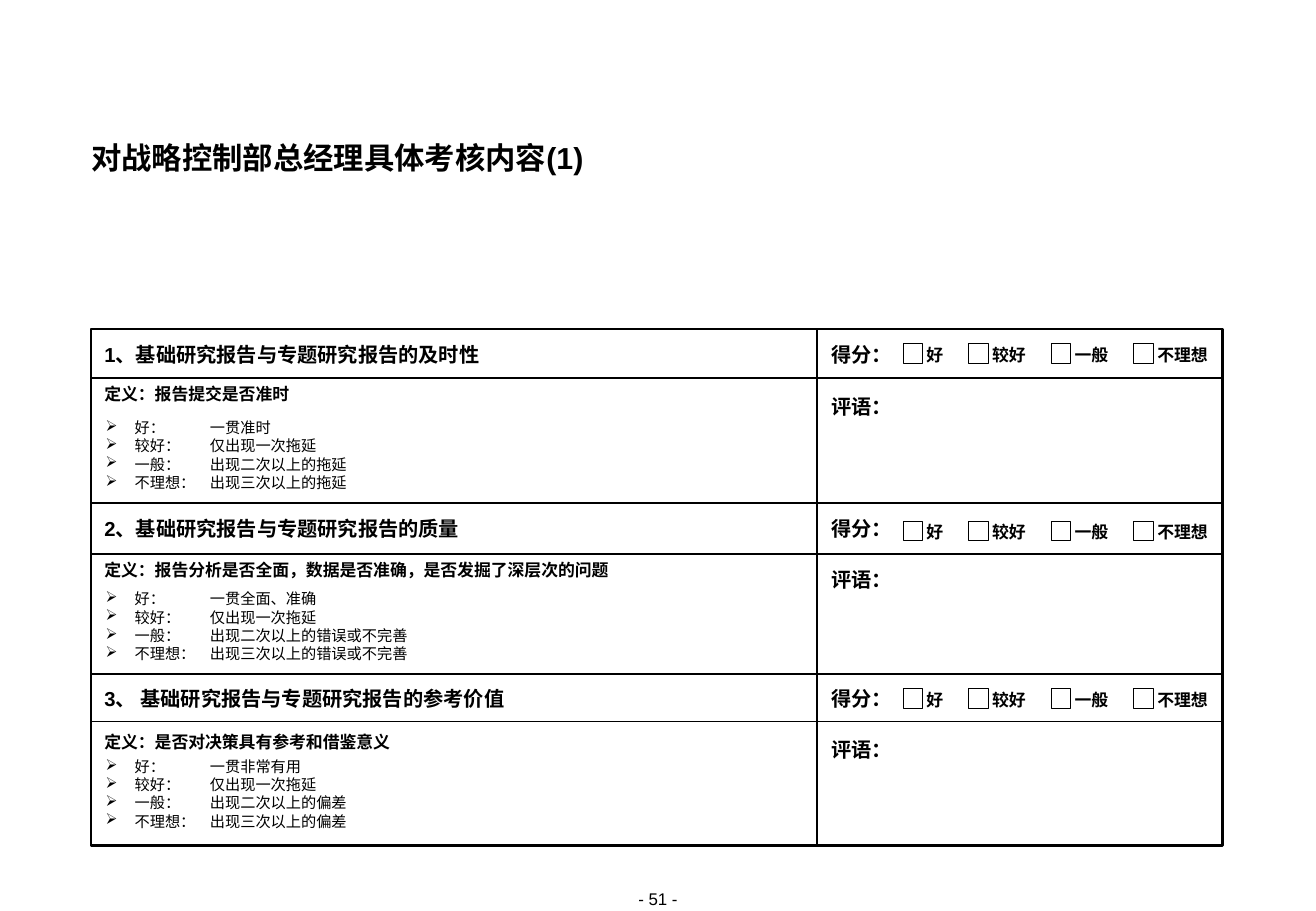
from lxml.etree import SubElement
from pptx import Presentation
from pptx.dml.color import RGBColor
from pptx.enum.shapes import MSO_CONNECTOR, MSO_SHAPE
from pptx.enum.text import MSO_ANCHOR, MSO_AUTO_SIZE, PP_ALIGN
from pptx.oxml.ns import qn
from pptx.util import Inches, Pt

BLACK = RGBColor(0, 0, 0)
WHITE = RGBColor(255, 255, 255)
FONT = "Arial"
LEFT, TOP, RIGHT, BOTTOM = 0.75, 2.71, 10.07, 6.96
SPLIT = 6.73
RULES = [3.11, 4.14, 4.56, 5.55, 5.94]
GRADES = ["好", "较好", "一般", "不理想"]

# Each topic: tops of heading, tick boxes, definition and scale, then the words
TOPICS = [
    (2.82, 2.83, 3.16, 3.46, "1、基础研究报告与专题研究报告的及时性",
     "定义：报告提交是否准时",
     ["一贯准时", "仅出现一次拖延", "出现二次以上的拖延", "出现三次以上的拖延"]),
    (4.25, 4.29, 4.61, 4.87, "2、基础研究报告与专题研究报告的质量",
     "定义：报告分析是否全面，数据是否准确，是否发掘了深层次的问题",
     ["一贯全面、准确", "仅出现一次拖延", "出现二次以上的错误或不完善",
      "出现三次以上的错误或不完善"]),
    (5.65, 5.67, 6.02, 6.25, "3、 基础研究报告与专题研究报告的参考价值",
     "定义：是否对决策具有参考和借鉴意义",
     ["一贯非常有用", "仅出现一次拖延", "出现二次以上的偏差", "出现三次以上的偏差"]),
]


def place(shape, x, y, w, h):
    shape.left, shape.top = Inches(x), Inches(y)
    shape.width, shape.height = Inches(w), Inches(h)


def style(para, size, bold):
    for run in para.runs:
        font = run.font
        font.name, font.size, font.bold = FONT, Pt(size), bold
        font.color.rgb = BLACK


def set_frame(frame, wrap=True, anchor=MSO_ANCHOR.TOP):
    frame.margin_left = frame.margin_right = 0
    frame.margin_top = frame.margin_bottom = 0
    frame.word_wrap = wrap
    frame.auto_size = MSO_AUTO_SIZE.SHAPE_TO_FIT_TEXT
    frame.vertical_anchor = anchor


def add_text(shapes, text, x, y, w, h, size, bold=True):
    box = shapes.add_textbox(Inches(x), Inches(y), Inches(w), Inches(h))
    set_frame(box.text_frame)
    box.text_frame.text = text
    para = box.text_frame.paragraphs[0]
    style(para, size, bold)
    return box


def add_label(shapes, text, x, y, w, size):
    box = add_text(shapes, text, x, y, w, 0.19, size)
    set_frame(box.text_frame, False, MSO_ANCHOR.MIDDLE)
    para = box.text_frame.paragraphs[0]
    para.alignment = PP_ALIGN.CENTER
    para.line_spacing = Pt(14)


def add_rect(shapes, x, y, w, h, weight, fill=None):
    rect = shapes.add_shape(MSO_SHAPE.RECTANGLE, Inches(x), Inches(y),
                            Inches(w), Inches(h))
    rect.shadow.inherit = False
    if fill is None:
        rect.fill.background()
    else:
        rect.fill.solid()
        rect.fill.fore_color.rgb = fill
    rect.line.color.rgb = BLACK
    rect.line.width = Pt(weight)


def add_line(shapes, x1, y1, x2, y2, weight):
    line = shapes.add_connector(MSO_CONNECTOR.STRAIGHT, Inches(x1), Inches(y1),
                                Inches(x2), Inches(y2))
    line.line.color.rgb = BLACK
    line.line.width = Pt(weight)
    SubElement(line._element.spPr, qn("a:effectLst"))


def add_bullet(para):
    props = para._p.get_or_add_pPr()
    props.set("marL", str(Inches(0.25)))
    props.set("indent", str(Inches(-0.24)))
    props.set("lvl", "1")
    color = SubElement(props, qn("a:buClr"))
    SubElement(color, qn("a:srgbClr"), val=str(BLACK))
    SubElement(props, qn("a:buChar"), char="➢")
    tabs = SubElement(props, qn("a:tabLst"))
    SubElement(tabs, qn("a:tab"), pos=str(Inches(0.87)), algn="l")


def add_scale(shapes, notes, y):
    box = shapes.add_textbox(Inches(0.86), Inches(y), Inches(5.76), Inches(0.59))
    frame = box.text_frame
    set_frame(frame)
    frame.text = "\n".join(f"{grade}：\t{note}" for grade, note in zip(GRADES, notes))
    for i, para in enumerate(frame.paragraphs):
        add_bullet(para)
        para.line_spacing = 0.9
        if i:
            para.space_before = Pt(1.1)
        style(para, 9, False)


def add_ticks(shapes, y):
    group = shapes.add_group_shape().shapes
    x = 7.44
    for grade in GRADES:
        width = 0.14 * len(grade)
        add_rect(group, x, y, 0.16, 0.16, 0.5, WHITE)
        add_label(group, grade, x + 0.19, y - 0.02, width, 10)
        x += width + 0.4


def add_topic(shapes, head, tick, define, scale, title, meaning, notes):
    add_text(shapes, title, 0.86, head, 5.72, 0.2, 12)
    add_text(shapes, meaning, 0.86, define, 5.74, 0.17, 10)
    add_scale(shapes, notes, scale)
    add_text(shapes, "得分：", 6.85, head, 0.55, 0.2, 12)
    add_label(shapes, "评语：", 6.85, head + 0.43, 0.5, 12)
    add_ticks(shapes, tick)


def set_title(title, text):
    place(title, LEFT, 1.17, 9.33, 0.28)
    set_frame(title.text_frame)
    title.text_frame.text = text
    para = title.text_frame.paragraphs[0]
    para.alignment = PP_ALIGN.LEFT
    para.line_spacing = Pt(20)
    style(para, 18, True)


def main():
    deck = Presentation()
    deck.slide_width, deck.slide_height = Inches(10.84), Inches(7.5)
    slide = deck.slides.add_slide(deck.slide_layouts[5])
    shapes = slide.shapes
    set_title(shapes.title, "对战略控制部总经理具体考核内容(1)")

    # Form frame and its rules
    add_rect(shapes, LEFT, TOP, RIGHT - LEFT, BOTTOM - TOP, 1.5)
    add_line(shapes, SPLIT, TOP, SPLIT, BOTTOM, 1.5)
    for y in RULES:
        add_line(shapes, LEFT, y, RIGHT, y, 1)

    # Topics with scale, score and remarks
    for topic in TOPICS:
        add_topic(shapes, *topic)

    # Page number
    page = add_text(shapes, "- 51 -", 4.85, 7.32, 1.14, 0.17, 10, False)
    page.text_frame.paragraphs[0].alignment = PP_ALIGN.CENTER

    deck.save("out.pptx")


if __name__ == "__main__":
    main()
